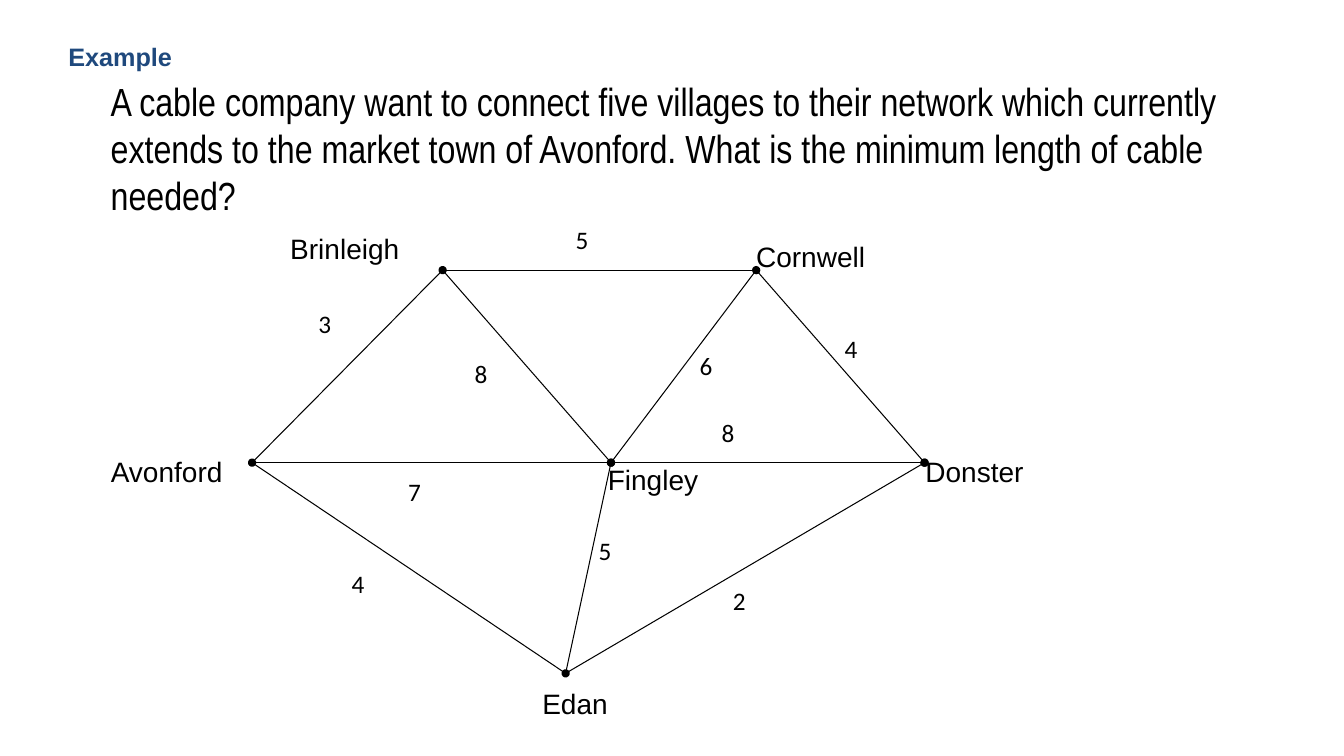
"""Build a slide showing a weighted network of villages to be joined by cable."""
from lxml import etree
from pptx import Presentation
from pptx import util as u
from pptx.dml.color import RGBColor
from pptx.enum import shapes, text
from pptx.oxml.ns import qn

BLACK = RGBColor(0x00, 0x00, 0x00)
NAVY = RGBColor(0x1F, 0x49, 0x7D)

HEADING = "Example"
QUESTION = ("A cable company want to connect five villages to their network which "
            "currently extends to the market town of Avonford. What is the minimum "
            "length of cable needed?")

# village: (point, label left and top, label width)
VILLAGES = {
    "Avonford": ((2.5, 4.59), (1, 4.46), 1.78),
    "Fingley": ((6.06, 4.59), (5.93, 4.54), 1.55),
    "Brinleigh": ((4.39, 2.68), (2.78, 2.25), 1.72),
    "Cornwell": ((7.5, 2.68), (7.4, 2.33), 1.89),
    "Donster": ((9.17, 4.59), (9.08, 4.46), 2.01),
    "Edan": ((5.61, 6.68), (5.28, 6.76), 1.39),
}
# from, to, ends with a dot, length, length's left and top
CABLES = [
    ("Avonford", "Brinleigh", ("headEnd", "tailEnd"), "3", (3.06, 3.01)),
    ("Brinleigh", "Cornwell", ("tailEnd",), "5", (5.61, 2.18)),
    ("Cornwell", "Donster", ("tailEnd",), "4", (8.28, 3.26)),
    ("Avonford", "Fingley", (), "7", (3.95, 4.68)),
    ("Fingley", "Donster", (), "8", (7.06, 4.09)),
    ("Brinleigh", "Fingley", ("tailEnd",), "8", (4.61, 3.51)),
    ("Fingley", "Cornwell", (), "6", (6.84, 3.43)),
    ("Avonford", "Edan", (), "4", (3.39, 5.59)),
    ("Edan", "Fingley", ("headEnd", "tailEnd"), "5", (5.84, 5.26)),
    ("Edan", "Donster", ("tailEnd",), "2", (7.17, 5.76)),
]


def add_text(parent, words, at, width, height, size, font="Arial", color=BLACK,
             bold=False, wrap=True, anchor=text.MSO_ANCHOR.TOP):
    sp = parent.add_textbox(*map(u.Inches, (*at, width, height)))
    tf = sp.text_frame
    tf.word_wrap = wrap
    tf.vertical_anchor = anchor
    r = tf.paragraphs[0].add_run()
    r.text = words
    r.font.name = font
    r.font.size = u.Pt(size)
    r.font.bold = bold
    r.font.color.rgb = color


def add_cable(parent, start, end, dots):
    line = parent.add_connector(shapes.MSO_CONNECTOR.STRAIGHT,
                                *map(u.Inches, (*start, *end)))
    line.line.color.rgb = BLACK
    line.line.width = u.Pt(0.75)
    for dot in dots:
        etree.SubElement(line.line._get_or_add_ln(), qn("a:" + dot), type="oval")
    etree.SubElement(line._element.spPr, qn("a:effectLst"))


def main():
    prs = Presentation()
    prs.slide_width, prs.slide_height = u.Inches(13.33), u.Inches(7.5)
    s = prs.slides.add_slide(prs.slide_layouts[6])
    add_text(s.shapes, QUESTION, (1, 0.84), 11.33, 1.25, 28, font="Arial Narrow",
             anchor=text.MSO_ANCHOR.MIDDLE)

    network = s.shapes.add_group_shape().shapes
    for start, end, dots, _, _ in CABLES:
        add_cable(network, VILLAGES[start][0], VILLAGES[end][0], dots)
    for name, (_, at, width) in VILLAGES.items():
        add_text(network, name, at, width, 0.43, 20)
    for *_, length, at in CABLES:
        add_text(network, length, at, 0.67, 0.4, 18, font="Calibri")

    add_text(s.shapes, HEADING, (0.58, 0.36), 1.24, 0.4, 18, color=NAVY,
             bold=True, wrap=False)
    prs.save("out.pptx")


if __name__ == "__main__":
    main()
